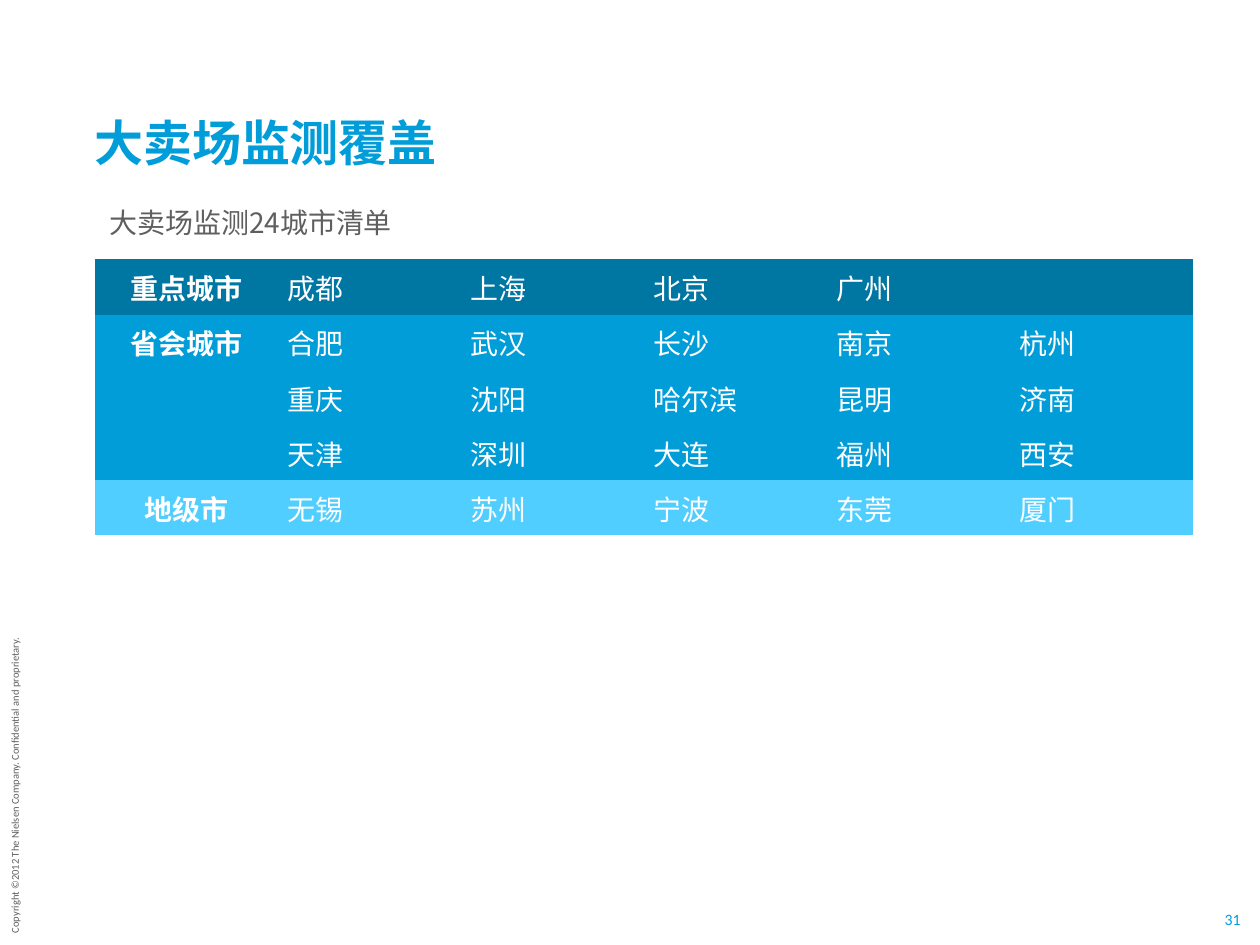
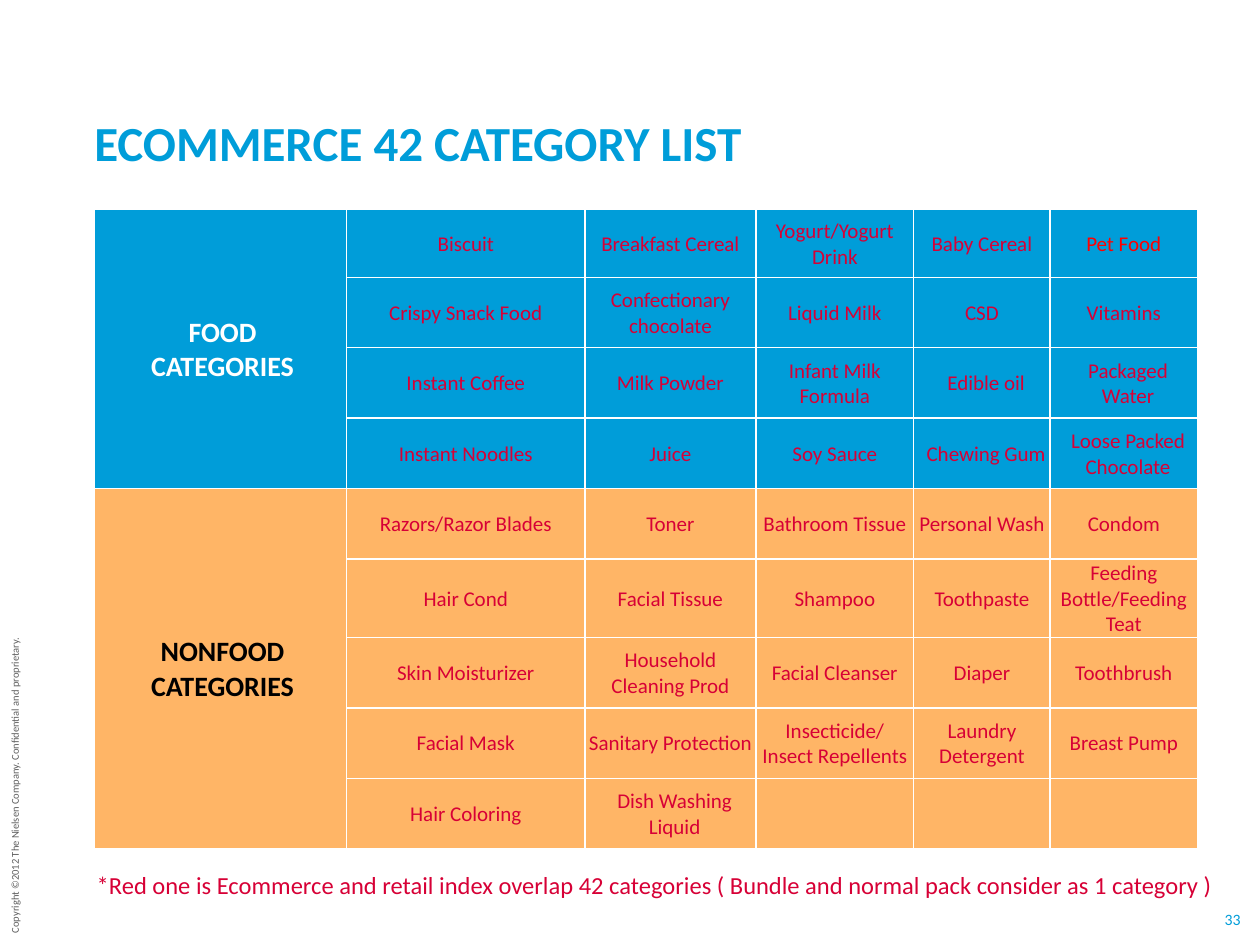
import pptx
import pptx.dml.color
import pptx.enum.text
import pptx.oxml
import pptx.oxml.ns
import pptx.util
from pptx.util import Cm

ALIGN = pptx.enum.text.PP_ALIGN
ANCHOR = pptx.enum.text.MSO_ANCHOR
PLAIN_TABLE_STYLE = "{2D5ABB26-0587-4C30-8999-92F81FD0307C}"
DRAWING_NAMESPACE = pptx.oxml.ns.nsdecls("a")


def color(hex_value):
    return pptx.dml.color.RGBColor.from_string(hex_value)


def write_text(frame, text, font="Calibri", size=12, fill="5F5F5F", bold=False,
               align=ALIGN.LEFT, anchor=ANCHOR.TOP, margins=(0.25, 0.13, 0.25, 0.13), wrap=True):
    frame.word_wrap = wrap
    frame.auto_size = pptx.enum.text.MSO_AUTO_SIZE.NONE
    frame.margin_left, frame.margin_top, frame.margin_right, frame.margin_bottom = map(Cm, margins)
    frame.vertical_anchor = anchor
    frame.text = text
    for paragraph in frame.paragraphs:
        paragraph.alignment = align
        paragraph.space_before = pptx.util.Pt(0)
        for run in paragraph.runs:
            run.font.name = font
            run.font.size = pptx.util.Pt(size)
            run.font.bold = bold
            run.font.color.rgb = color(fill)
            run.font._element.append(pptx.oxml.parse_xml(
                f'<a:ea {DRAWING_NAMESPACE} typeface="{font}"/>'))


class Deck:
    """Hold the shared style and the current slide."""

    blue, dark_blue, light_blue = "009DD9", "0076A3", "4FCEFF"
    orange, white, black = "FFB566", "FFFFFF", "000000"
    crimson, red = "D70036", "FF0000"
    latin, chinese = "Calibri", "Noto Sans CJK SC"

    def __init__(self):
        self.presentation = pptx.Presentation()
        self.presentation.slide_width = Cm(25.4)
        self.presentation.slide_height = Cm(19.05)
        self.slide = None

    def start_slide(self, layout_name, title, number, font):
        layout = self.presentation.slide_layouts.get_by_name(layout_name)
        self.slide = self.presentation.slides.add_slide(layout)
        self.place(self.slide.shapes.title, (1.65, 1.88, 22.68, 1.57))
        write_text(self.slide.shapes.title.text_frame, title, font=font, size=28, fill=self.blue,
                   bold=True, anchor=ANCHOR.BOTTOM, margins=(0.25, 0, 0.25, 0))
        copyright_box = self.text_box(
            "Copyright ©2012 The Nielsen Company. Confidential and proprietary.",
            (-3, 15.52, 6.58, 0.5), size=6, wrap=False)
        copyright_box.rotation = 270
        self.text_box(str(number), (24.66, 18.34, 0.38, 0.38), size=9, fill=self.blue,
                      align=ALIGN.CENTER, anchor=ANCHOR.MIDDLE, margins=(0, 0, 0, 0), wrap=False)

    def place(self, shape, box):
        shape.left, shape.top, shape.width, shape.height = map(Cm, box)

    def text_box(self, text, box, **text_format):
        shape = self.slide.shapes.add_textbox(*map(Cm, box))
        write_text(shape.text_frame, text, **text_format)
        return shape

    def body(self, text, box, **text_format):
        shape = self.slide.placeholders[1]
        self.place(shape, box)
        write_text(shape.text_frame, text, **text_format)
        for paragraph in shape.text_frame.paragraphs:
            properties = paragraph._p.get_or_add_pPr()
            properties.set("marL", "0")
            properties.set("indent", "0")
            properties.append(pptx.oxml.parse_xml(f"<a:buNone {DRAWING_NAMESPACE}/>"))

    def table(self, left, top, column_widths, row_heights):
        frame = self.slide.shapes.add_table(
            len(row_heights), len(column_widths), Cm(left), Cm(top),
            Cm(sum(column_widths)), Cm(sum(row_heights)))
        table = frame.table
        table._tbl.tblPr.find(pptx.oxml.ns.qn("a:tableStyleId")).text = PLAIN_TABLE_STYLE
        table.first_row = table.horz_banding = False
        for column, width in zip(table.columns, column_widths):
            column.width = Cm(width)
        for row, height in zip(table.rows, row_heights):
            row.height = Cm(height)
        return table

    def cell(self, cell, text, background, border=None, left_margin=0.03, **text_format):
        if border:
            for side in "LRTB":
                cell._tc.get_or_add_tcPr().append(pptx.oxml.parse_xml(
                    f'<a:ln{side} {DRAWING_NAMESPACE} w="12700"><a:solidFill>'
                    f'<a:srgbClr val="{border}"/></a:solidFill></a:ln{side}>'))
        cell.fill.solid()
        cell.fill.fore_color.rgb = color(background)
        if text:
            margins = (left_margin, 0.03, 0.03, 0)
            write_text(cell.text_frame, text, margins=margins, **text_format)
            cell.margin_left, cell.margin_top, cell.margin_right, cell.margin_bottom = map(Cm, margins)
            cell.vertical_anchor = ANCHOR.MIDDLE


def add_city_slide(deck):
    deck.start_slide("Title Only", "大卖场监测覆盖", 31, deck.chinese)
    deck.text_box("大卖场监测24城市清单", (1.96, 4.01, 7.16, 0.94), font=deck.chinese, size=16)
    city_rows = [
        (deck.dark_blue, ["重点城市", "成都", "上海", "北京", "广州", ""]),
        (deck.blue, ["省会城市", "合肥", "武汉", "长沙", "南京", "杭州"]),
        (deck.blue, ["", "重庆", "沈阳", "哈尔滨", "昆明", "济南"]),
        (deck.blue, ["", "天津", "深圳", "大连", "福州", "西安"]),
        (deck.light_blue, ["地级市", "无锡", "苏州", "宁波", "东莞", "厦门"]),
    ]
    table = deck.table(1.91, 5.23, [3.69] * 6, [1.11] * 5)
    for row_index, (background, names) in enumerate(city_rows):
        for column_index, name in enumerate(names):
            is_label = column_index == 0
            deck.cell(table.cell(row_index, column_index), name, background,
                      left_margin=0.03 if is_label else 0.2, font=deck.chinese, size=16,
                      fill=deck.white, bold=is_label,
                      align=ALIGN.CENTER if is_label else ALIGN.LEFT)


def add_category_slide(deck):
    deck.start_slide("Title and Content", "ECOMMERCE 42 CATEGORY LIST", 33, deck.latin)
    deck.body("*Red one is Ecommerce and retail index overlap 42 categories "
              "( Bundle and normal pack consider as 1 category )",
              (1.7, 17.53, 23.7, 1.07), size=14, fill=deck.crimson, margins=(0.25, 0, 0.25, 0))
    groups = [
        ("FOOD\nCATEGORIES", deck.blue, deck.white, [
            ["Biscuit", "Breakfast Cereal", "Yogurt/Yogurt Drink", "Baby Cereal", "Pet Food"],
            ["Crispy Snack Food", "Confectionary chocolate", "Liquid Milk", "CSD", "Vitamins"],
            ["Instant Coffee", "Milk Powder", "Infant Milk Formula", "Edible oil", "Packaged Water"],
            ["Instant Noodles", "Juice", "Soy Sauce", "Chewing Gum", "Loose Packed Chocolate"],
        ]),
        ("NONFOOD\nCATEGORIES", deck.orange, deck.black, [
            ["Razors/Razor Blades", "Toner", "Bathroom Tissue", "Personal Wash", "Condom"],
            ["Hair Cond", "Facial Tissue", "Shampoo", "Toothpaste", "Feeding Bottle/Feeding Teat"],
            ["Skin Moisturizer", "Household Cleaning Prod", "Facial Cleanser", "Diaper", "Toothbrush"],
            ["Facial Mask", "Sanitary Protection", "Insecticide/\nInsect Repellents",
             "Laundry Detergent", "Breast Pump"],
            ["Hair Coloring", "Dish Washing Liquid", "", "", ""],
        ]),
    ]
    indented = {"Edible oil", "Packaged Water", "Chewing Gum", "Loose Packed Chocolate",
                "Dish Washing Liquid"}
    table = deck.table(1.91, 4.22, [5.08, 4.8, 3.45, 3.18, 2.75, 2.97],
                       [1.37] + [1.42] * 4 + [1.58] + [1.42] * 3)
    first_row = 0
    for label, background, label_color, rows in groups:
        last_row = first_row + len(rows) - 1
        table.cell(first_row, 0).merge(table.cell(last_row, 0))
        for row_index, names in enumerate(rows, first_row):
            deck.cell(table.cell(row_index, 0), label if row_index == first_row else "",
                      background, border=deck.white, left_margin=0.1, size=16,
                      fill=label_color, bold=True, align=ALIGN.CENTER)
            for column_index, name in enumerate(names, 1):
                deck.cell(table.cell(row_index, column_index), name, background,
                          border=deck.white, left_margin=0.2 if name in indented else 0.03,
                          fill=deck.red if name == "Pet Food" else deck.crimson,
                          align=ALIGN.CENTER)
        first_row = last_row + 1


def main():
    deck = Deck()
    add_city_slide(deck)
    add_category_slide(deck)
    deck.presentation.save("out.pptx")


if __name__ == "__main__":
    main()
